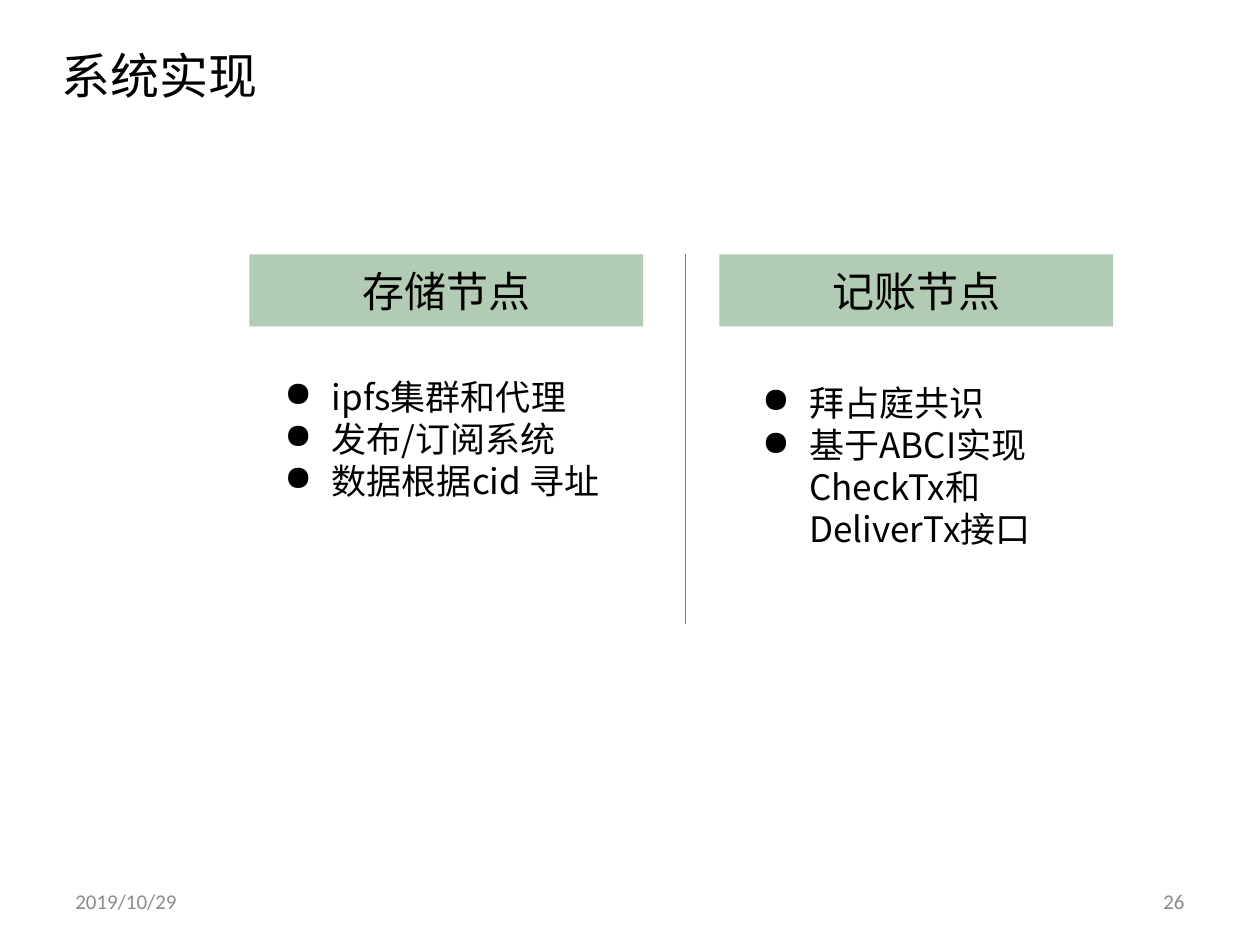
import pptx
import pptx.dml.color
import pptx.enum.shapes
import pptx.enum.text
import pptx.oxml
import pptx.oxml.ns
import pptx.util

Align = pptx.enum.text.PP_ALIGN
Anchor = pptx.enum.text.MSO_ANCHOR

COLORS = {"text": "000000", "band": "B2CBB5", "divider": "808080",
          "date": "8C8C8C", "number": "898989"}
CJK_FONT = "Noto Sans CJK SC"
FOOTER_FONT = "Calibri"

# The slide is a grid of 100 columns by 75 rows of square cells
COLUMNS, ROWS = 100, 75
CELL = pptx.util.Inches(0.1)


def grid(*cells):
    return [round(cell * CELL) for cell in cells]


def color(name):
    return pptx.dml.color.RGBColor.from_string(COLORS[name])


def append_xml(parent, tag, **attributes):
    child = pptx.oxml.parse_xml(f"<{tag} {pptx.oxml.ns.nsdecls('a')}/>")
    for key, value in attributes.items():
        child.set(key, str(value))
    parent.append(child)


def write(shape, *lines, size, font=CJK_FONT, ink="text", align=Align.LEFT,
          anchor=Anchor.TOP, wrap=True, margins=(1, 0.5), bullet=None):
    frame = shape.text_frame
    frame.auto_size = pptx.enum.text.MSO_AUTO_SIZE.NONE
    frame.word_wrap = wrap
    frame.vertical_anchor = anchor
    frame.margin_left, frame.margin_top = grid(*margins)
    frame.margin_right, frame.margin_bottom = grid(*margins)
    for index, line in enumerate(lines):
        paragraph = frame.add_paragraph() if index else frame.paragraphs[0]
        paragraph.alignment = align
        if bullet:
            properties = paragraph._p.get_or_add_pPr()
            indent = round(3.75 * CELL)
            properties.set("marL", str(indent))
            properties.set("indent", str(-indent))
            append_xml(properties, "a:buChar", char=bullet)
        run = paragraph.add_run()
        run.text = line
        run.font.size = pptx.util.Pt(size)
        run.font.name = font
        run.font.color.rgb = color(ink)
        append_xml(run._r.get_or_add_rPr(), "a:ea", typeface=font)


def add_title(slide, box, text):
    title = slide.shapes.title
    title.left, title.top, title.width, title.height = grid(*box)
    write(title, text, size=28, wrap=False)


def add_node_column(slide, box, heading, items, list_inset):
    """A heading band with a bulleted list; list_inset is relative to the box."""
    left, top, width, height = box
    band = slide.shapes.add_shape(pptx.enum.shapes.MSO_SHAPE.RECTANGLE,
                                  *grid(left, top, width, 5.7))
    band.shadow.inherit = False
    band.fill.solid()
    band.fill.fore_color.rgb = color("band")
    band.line.fill.background()
    write(band, heading, size=24, align=Align.CENTER, anchor=Anchor.MIDDLE,
          margins=(0.7, 0.4))

    inset_x, inset_y, list_width = list_inset
    bullets = slide.shapes.add_textbox(
        *grid(left + inset_x, top + inset_y, list_width, height - inset_y))
    write(bullets, *items, size=20, bullet="●")


def add_divider(slide, x, top, height):
    divider = slide.shapes.add_connector(
        pptx.enum.shapes.MSO_CONNECTOR.STRAIGHT, *grid(x, top, x, top + height))
    divider.line.color.rgb = color("divider")
    divider.line.width = pptx.util.Pt(0.25)
    append_xml(divider._element.spPr, "a:effectLst")


def add_footer(slide, box, date, number):
    left, top, width, height = box
    field_width = 23.3
    fields = ((left, date, "date", Align.LEFT),
              (left + width - field_width, number, "number", Align.RIGHT))
    for x, text, ink, align in fields:
        field = slide.shapes.add_textbox(*grid(x, top, field_width, height))
        write(field, text, size=12, font=FOOTER_FONT, ink=ink, align=align,
              anchor=Anchor.MIDDLE)


def main():
    deck = pptx.Presentation()
    deck.slide_width, deck.slide_height = grid(COLUMNS, ROWS)
    slide = deck.slides.add_slide(deck.slide_layouts[5])

    add_title(slide, (3.9, 3.1, 17.7, 5.7), "系统实现")

    # Two kinds of node, either side of the divider
    top, width, height = 20.2, 31.25, 29.3
    add_node_column(slide, (19.8, top, width, height), "存储节点",
                    ("ipfs集群和代理", "发布/订阅系统", "数据根据cid 寻址"),
                    list_inset=(1.8, 9.1, 27.7))
    add_node_column(slide, (57.1, top, width, height), "记账节点",
                    ("拜占庭共识", "基于ABCI实现CheckTx和DeliverTx接口"),
                    list_inset=(2.4, 9.6, 28.8))
    add_divider(slide, 54.4, top, height)

    add_footer(slide, (5, 69.5, 90, 4), "2019/10/29", "26")
    deck.save("out.pptx")


if __name__ == "__main__":
    main()
